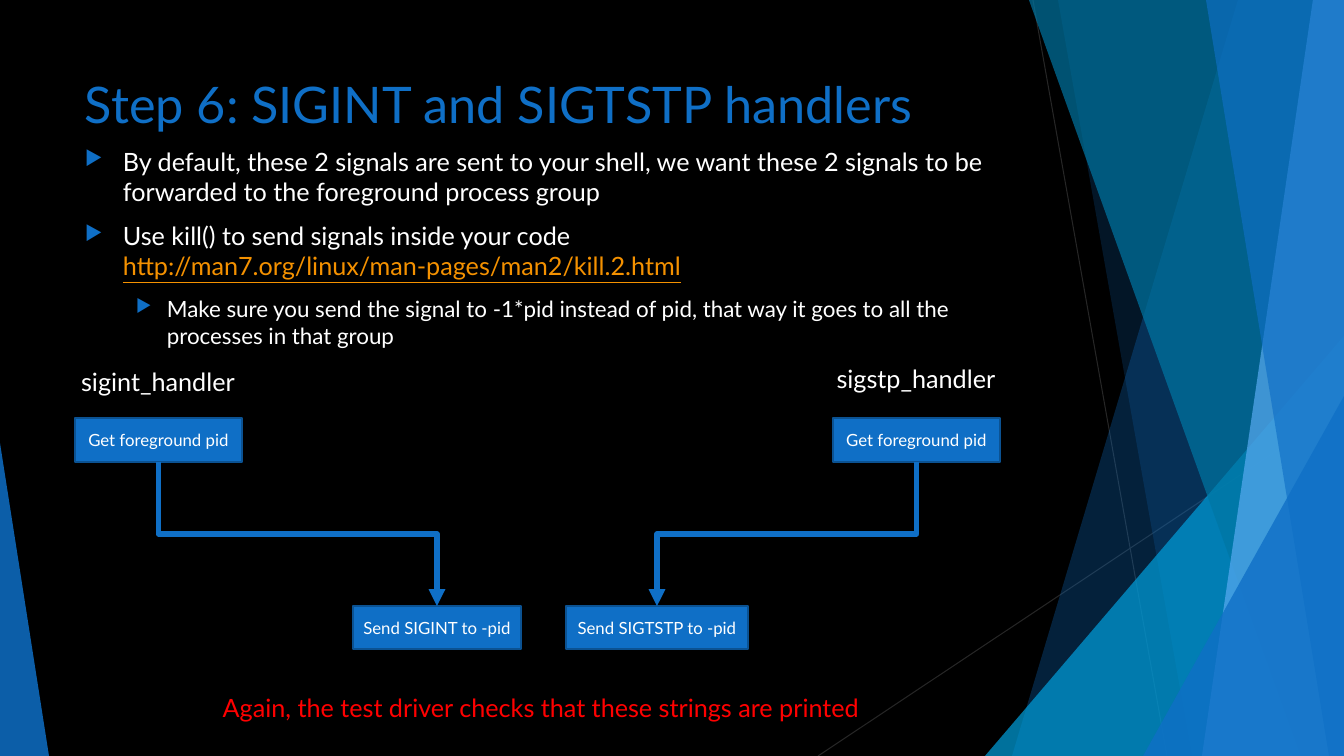
import pptx
import pptx.util
import pptx.dml.color
import pptx.enum.shapes
import pptx.enum.text
import pptx.oxml
import pptx.oxml.ns

EMU_PER_PX = 914400 / 100.8
FONT = "Lato"
COLOURS = {
    "black": "000000",
    "white": "FFFFFF",
    "blue": "0F6FC6",
    "border": "0B5292",
    "teal": "0076A3",
    "cyan": "009DD9",
    "sky": "59AAF2",
    "hairline": "262626",
    "link": "F49100",
    "red": "FF0000",
}
CENTER = pptx.enum.text.PP_ALIGN.CENTER
CONNECTOR = pptx.enum.shapes.MSO_CONNECTOR
SHAPE = pptx.enum.shapes.MSO_SHAPE


def px(*lengths):
    return [pptx.util.Emu(round(length * EMU_PER_PX)) for length in lengths]


def colour(name):
    return pptx.dml.color.RGBColor.from_string(COLOURS[name])


def add_element(parent, tag, **attributes):
    element = pptx.oxml.parse_xml(f"<{tag} {pptx.oxml.ns.nsdecls('a')}/>")
    for key, value in attributes.items():
        element.set(key, value)
    parent.append(element)
    return element


class SlideBuilder:
    def __init__(self, presentation):
        self.slide = presentation.slides.add_slide(presentation.slide_layouts[6])
        self.shapes = self.slide.shapes
        fill = self.slide.background.fill
        fill.solid()
        fill.fore_color.rgb = colour("black")

    def paint(self, shape, fill, opacity=100):
        shape.shadow.inherit = False
        shape.fill.solid()
        shape.fill.fore_color.rgb = colour(fill)
        shape.line.fill.background()
        if opacity < 100:
            srgb = shape.element.spPr.find(".//" + pptx.oxml.ns.qn("a:srgbClr"))
            add_element(srgb, "a:alpha", val=str(opacity * 1000))

    def polygon(self, points, fill, opacity):
        builder = self.shapes.build_freeform(*points[0], scale=EMU_PER_PX)
        builder.add_line_segments(points[1:], close=True)
        self.paint(builder.convert_to_shape(), fill, opacity)

    def triangle(self, box, apex, fill, opacity):
        shape = self.shapes.add_shape(SHAPE.ISOSCELES_TRIANGLE, *px(*box))
        shape.adjustments[0] = apex
        self.paint(shape, fill, opacity)

    def stroke(self, connector, name, width):
        connector.line.color.rgb = colour(name)
        connector.line.width = pptx.util.Pt(width)
        add_element(connector.element.spPr, "a:effectLst")

    def hairline(self, start, end):
        connector = self.shapes.add_connector(CONNECTOR.STRAIGHT, *px(*start, *end))
        self.stroke(connector, "hairline", 0.75)

    def run(self, paragraph, text, size, name, underline=None):
        run = paragraph.add_run()
        run.text = text
        run.font.name = FONT
        run.font.size = pptx.util.Pt(size)
        run.font.color.rgb = colour(name)
        run.font.underline = underline

    def text_frame(self, box):
        frame = self.shapes.add_textbox(*px(*box)).text_frame
        frame.word_wrap = True
        return frame

    def label(self, box, text, size, name, alignment=CENTER):
        paragraph = self.text_frame(box).paragraphs[0]
        paragraph.alignment = alignment
        self.run(paragraph, text, size, name)

    def bullets(self, box, items):
        frame = self.text_frame(box)
        for index, (level, margin, hanging, size, runs) in enumerate(items):
            paragraph = frame.add_paragraph() if index else frame.paragraphs[0]
            paragraph.level = level
            if index:
                paragraph.space_before = pptx.util.Pt(10)
            properties = paragraph._p.get_or_add_pPr()
            left, indent = px(margin, -hanging)
            properties.set("marL", str(left))
            properties.set("indent", str(indent))
            bullet_colour = add_element(properties, "a:buClr")
            add_element(bullet_colour, "a:srgbClr", val=COLOURS["blue"])
            add_element(properties, "a:buSzPct", val="80000")
            add_element(properties, "a:buChar", char="▶")
            for text, name, underline in runs:
                self.run(paragraph, text, size, name, underline)

    def step(self, box, text):
        shape = self.shapes.add_shape(SHAPE.RECTANGLE, *px(*box))
        self.paint(shape, "blue")
        shape.line.color.rgb = colour("border")
        shape.line.width = pptx.util.Pt(1.5)
        frame = shape.text_frame
        frame.word_wrap = True
        frame.vertical_anchor = pptx.enum.text.MSO_ANCHOR.MIDDLE
        frame.paragraphs[0].alignment = CENTER
        self.run(frame.paragraphs[0], text, 12, "white")
        return shape

    def elbow_down(self, source, target):
        connector = self.shapes.add_connector(CONNECTOR.ELBOW, 0, 0, 0, 0)
        connector.begin_connect(source, 2)
        connector.end_connect(target, 0)
        across = connector.end_x - connector.begin_x
        down = connector.end_y - connector.begin_y
        middle_x = (connector.begin_x + connector.end_x) // 2
        middle_y = (connector.begin_y + connector.end_y) // 2
        connector.width, connector.height = down, abs(across)
        connector.left = middle_x - down // 2
        connector.top = middle_y - abs(across) // 2
        transform = connector.element.spPr.xfrm
        transform.flipH = across > 0
        transform.rot = 270 if across > 0 else 90
        self.stroke(connector, "blue", 4)
        add_element(connector.line._get_or_add_ln(), "a:tailEnd", type="triangle")


def main():
    presentation = pptx.Presentation()
    presentation.slide_width, presentation.slide_height = px(1344, 756)
    builder = SlideBuilder(presentation)

    builder.hairline((1033, 0), (1167, 756))
    builder.hairline((1344, 406), (818, 756))

    def ribbon(top, bottom, fill, opacity):
        points = [(top, 0), (1344, 0), (1344, 756), (bottom, 756)]
        builder.polygon(points, fill, opacity)

    ribbon(1238, 1012, "blue", 30)
    ribbon(1058, 1192, "blue", 20)
    builder.triangle((985, 336, 359, 420), 1, "cyan", 72)
    ribbon(1029, 1301, "teal", 70)
    ribbon(1313, 1202, "sky", 70)
    ribbon(1206, 1329, "blue", 65)
    builder.triangle((1143, 396, 201, 360), 1, "blue", 80)
    builder.triangle((0, 443, 49, 313), 0, "blue", 85)

    builder.label((75, 68, 948, 145), "Step 6: SIGINT and SIGTSTP handlers", 36, "blue",
                  pptx.enum.text.PP_ALIGN.LEFT)
    builder.bullets((75, 141, 948, 427), [
        (0, 38, 38, 18, [
            ("By default, these 2 signals are sent to your shell, we want these 2 signals "
             "to be forwarded to the foreground process group", "white", None)]),
        (0, 38, 38, 18, [
            ("Use kill() to send signals inside your code ", "white", None),
            ("http://man7.org/linux/man-pages/man2/kill.2.html", "link", True)]),
        (1, 82, 31, 16, [
            ("Make sure you send the signal to -1*pid instead of pid, that way it goes "
             "to all the processes in that group", "white", None)]),
    ])

    sigint_pid = builder.step((75, 418, 167, 44), "Get foreground pid")
    sigtstp_pid = builder.step((833, 418, 167, 44), "Get foreground pid")
    sigint_send = builder.step((353, 606, 168, 43), "Send SIGINT to -pid")
    sigtstp_send = builder.step((566, 606, 182, 43), "Send SIGTSTP to -pid")

    builder.label((39, 361, 238, 40), "sigint_handler", 18, "white")
    builder.label((797, 358, 238, 40), "sigstp_handler", 18, "white")
    builder.label((175, 687, 732, 40),
                  "Again, the test driver checks that these strings are printed", 18, "red")

    builder.elbow_down(sigint_pid, sigint_send)
    builder.elbow_down(sigtstp_pid, sigtstp_send)

    presentation.save("out.pptx")


if __name__ == "__main__":
    main()
